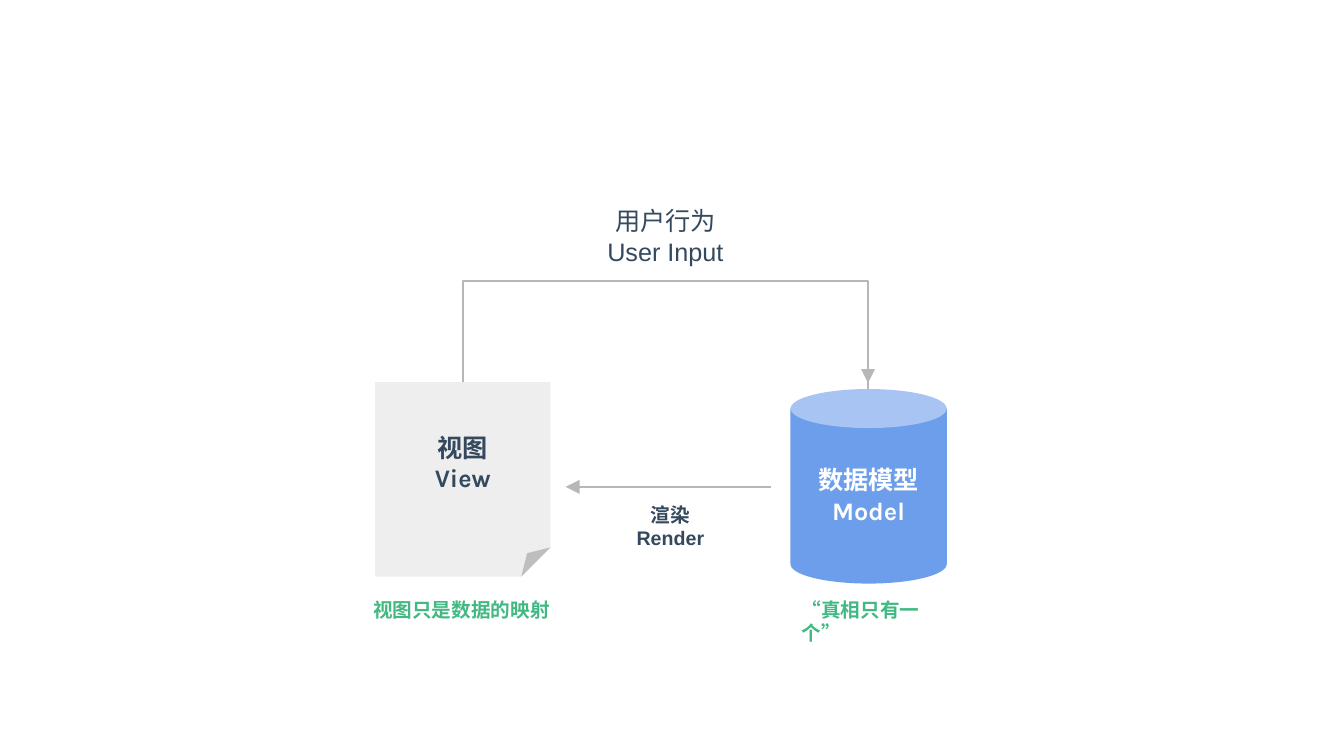
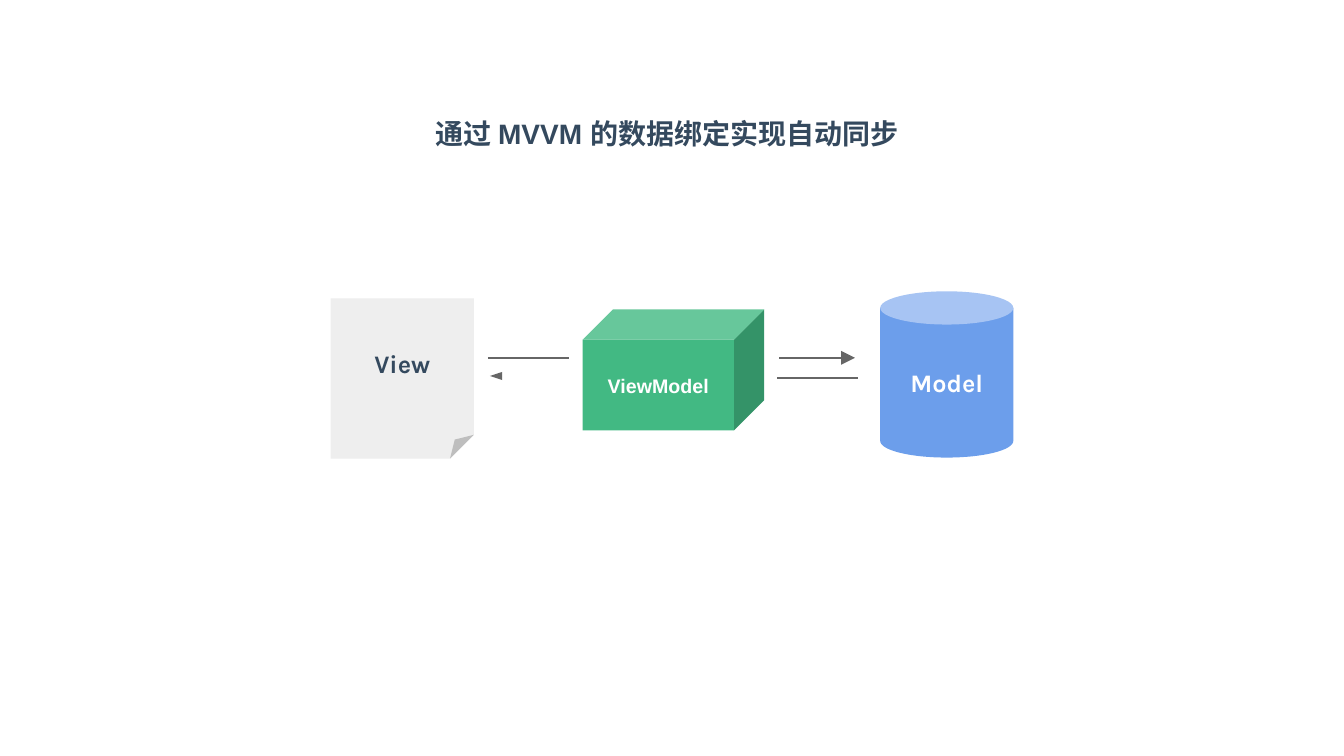
from math import cos, pi, sin

from lxml.etree import SubElement
from pptx import Presentation
from pptx.dml.color import RGBColor
from pptx.enum.shapes import MSO_CONNECTOR as Connector, MSO_SHAPE as Preset
from pptx.enum.text import MSO_ANCHOR as Anchor, MSO_AUTO_SIZE as AutoSize, PP_ALIGN as Align
from pptx.oxml.ns import qn
from pptx.util import Inches, Pt

COLORS = {
    "ink": "34495E", "white": "FFFFFF", "page": "EEEEEE", "fold": "BEBEBE",
    "cylinder": "6C9EEB", "cap": "A7C4F3", "green": "42B983", "green_top": "67C79B",
    "green_side": "349368", "light_line": "B7B7B7", "dark_line": "666666",
}
SC, JP = "Noto Sans CJK SC", "Noto Sans CJK JP"
LINE_WIDTH = Pt(1.5)


def rgb(name):
    """Return the named palette colour."""
    return RGBColor.from_string(COLORS[name])


def write(frame, lines, *, size=18, color="ink", bold=True, font="Arial", east=SC,
          align=Align.CENTER, anchor=Anchor.TOP, leading=None):
    """Fill a text frame with one formatted paragraph per line."""
    frame.word_wrap = True
    frame.auto_size = AutoSize.SHAPE_TO_FIT_TEXT if anchor == Anchor.TOP else AutoSize.NONE
    frame.vertical_anchor = anchor
    frame.margin_left = frame.margin_right = frame.margin_bottom = 0
    frame.margin_top = Inches(0.01)
    for index, line in enumerate(lines):
        paragraph = frame.paragraphs[0] if index == 0 else frame.add_paragraph()
        paragraph.alignment = align
        paragraph.space_before = Pt(0 if index else 1)
        if leading:
            paragraph.line_spacing = leading
        run = paragraph.add_run()
        run.text = line
        run.font.size = Pt(size)
        run.font.bold = bold
        run.font.color.rgb = rgb(color)
        run.font.name = font
        SubElement(run.font._element, qn("a:ea"), typeface=east)


def add_title(slide, lines, box, **style):
    """Place and fill the title placeholder."""
    title = slide.shapes.title
    title.left, title.top, title.width, title.height = map(Inches, box)
    write(title.text_frame, lines, anchor=Anchor.MIDDLE, **style)


def add_text(slide, lines, box, **style):
    """Add a text box."""
    write(slide.shapes.add_textbox(*map(Inches, box)).text_frame, lines, **style)


def paint(shape, color):
    """Give a shape a flat fill without line or shadow."""
    shape.shadow.inherit = False
    shape.fill.solid()
    shape.fill.fore_color.rgb = rgb(color)
    shape.line.fill.background()


def add_outline(slide, points, close):
    """Add a freeform through points given in inches."""
    corners = [(Inches(x), Inches(y)) for x, y in points]
    builder = slide.shapes.build_freeform(*corners[0])
    builder.add_line_segments(corners[1:], close=close)
    return builder.convert_to_shape()


def add_polygon(slide, points, color):
    """Add a filled polygon."""
    paint(add_outline(slide, points, True), color)


def add_polyline(slide, points, color):
    """Add an open line with corners."""
    shape = add_outline(slide, points, False)
    shape.shadow.inherit = False
    shape.fill.background()
    shape.line.color.rgb = rgb(color)
    shape.line.width = LINE_WIDTH


def add_line(slide, start, end, color, arrow=False):
    """Add a straight connector, with an arrowhead at its end if asked."""
    connector = slide.shapes.add_connector(Connector.STRAIGHT, *map(Inches, start + end))
    connector.line.color.rgb = rgb(color)
    connector.line.width = LINE_WIDTH
    if arrow:
        SubElement(connector.line._get_or_add_ln(), qn("a:tailEnd"),
                   type="triangle", w="lg", len="lg")
    SubElement(connector._element.spPr, qn("a:effectLst"))


def add_page(slide, left, top, width, height, label):
    """Add a page with a folded corner and a label."""
    right, bottom, fold = left + width, top + height, width / 6
    crease, edge = (right - fold, bottom), (right, bottom - fold)
    add_polygon(slide, [crease, (left, bottom), (left, top), (right, top), edge], "page")
    tip = (right - 0.8 * fold, bottom - 0.8 * fold)
    add_polygon(slide, [crease, tip, edge], "fold")
    add_text(slide, label, (left, top + 0.49, width, 0.32), font="Karla")


def add_cylinder(slide, left, top, width, height, label):
    """Add a cylinder whose cap is a quarter as high as it is wide."""
    radius, drop = width / 2, width / 8
    center, base, steps = left + radius, top + height - drop, 32
    curve = [(center + radius * cos(pi * step / steps), base + drop * sin(pi * step / steps))
             for step in range(steps + 1)]
    add_polygon(slide, [(left, top + drop), (left + width, top + drop), *curve], "cylinder")
    cap = slide.shapes.add_shape(Preset.OVAL, *map(Inches, (left, top, width, 2 * drop)))
    paint(cap, "cap")
    add_text(slide, label, (left, top + 0.74, width, 0.32), color="white", font="Karla", east=JP)


def add_box(slide, left, top, width, height, depth, label):
    """Add a box with a labelled front, a top and a side."""
    right, bottom, front = left + width, top + depth + height, top + depth
    back = right + depth
    add_polygon(slide, [(right, bottom), (right, front), (back, top), (back, top + height)],
                "green_side")
    add_polygon(slide, [(right, front), (left, front), (left + depth, top), (back, top)],
                "green_top")
    face = slide.shapes.add_shape(Preset.RECTANGLE, *map(Inches, (left, front, width, height)))
    paint(face, "green")
    write(face.text_frame, label, size=14, color="white", anchor=Anchor.MIDDLE)


def build_view_model_loop(slide):
    """Draw the loop between view and data model."""
    add_title(slide, ["用户行为", "User Input"], (5.97, 2.02, 1.26, 0.63), bold=False)
    add_page(slide, 3.72, 3.79, 1.74, 1.93, ["视图", "View"])
    add_line(slide, (7.65, 4.83), (5.61, 4.83), "light_line", arrow=True)
    add_polyline(slide, [(4.59, 3.79), (4.59, 2.79), (8.61, 2.79), (8.61, 3.86)], "light_line")
    add_line(slide, (8.61, 3.6), (8.61, 3.8), "light_line", arrow=True)
    add_cylinder(slide, 7.84, 3.86, 1.55, 1.93, ["数据模型", "Model"])
    add_text(slide, ["渲染", "Render"], (6.3, 4.98, 0.7, 0.49), size=14, east=JP,
             leading=Pt(16.6))
    caption = {"size": 14, "color": "green", "east": JP, "align": Align.LEFT}
    add_text(slide, ["视图只是数据的映射"], (3.7, 5.92, 1.78, 0.25), **caption)
    add_text(slide, ["“真相只有一个”"], (7.95, 5.92, 1.41, 0.25), font=JP, **caption)


def build_data_binding(slide):
    """Draw the view, view model and model in a row."""
    add_title(slide, ["通过 MVVM 的数据绑定实现自动同步"], (4.32, 1.14, 4.69, 0.35),
              size=20, align=Align.LEFT, leading=1.01)
    add_page(slide, 3.28, 2.96, 1.42, 1.59, ["View"])
    add_box(slide, 5.78, 3.07, 1.5, 0.9, 0.3, ["ViewModel"])
    add_cylinder(slide, 8.73, 2.89, 1.32, 1.65, ["Model"])
    add_line(slide, (4.84, 3.55), (5.64, 3.55), "dark_line")
    add_line(slide, (7.73, 3.55), (8.48, 3.55), "dark_line", arrow=True)
    add_polygon(slide, [(4.98, 3.69), (4.86, 3.73), (4.98, 3.77)], "dark_line")
    add_line(slide, (7.71, 3.75), (8.51, 3.75), "dark_line")


def main():
    """Build and save the presentation."""
    presentation = Presentation()
    presentation.slide_width, presentation.slide_height = Inches(13.33), Inches(7.5)
    title_only = presentation.slide_layouts[5]
    for build in (build_view_model_loop, build_data_binding):
        build(presentation.slides.add_slide(title_only))
    presentation.save("out.pptx")


if __name__ == "__main__":
    main()
